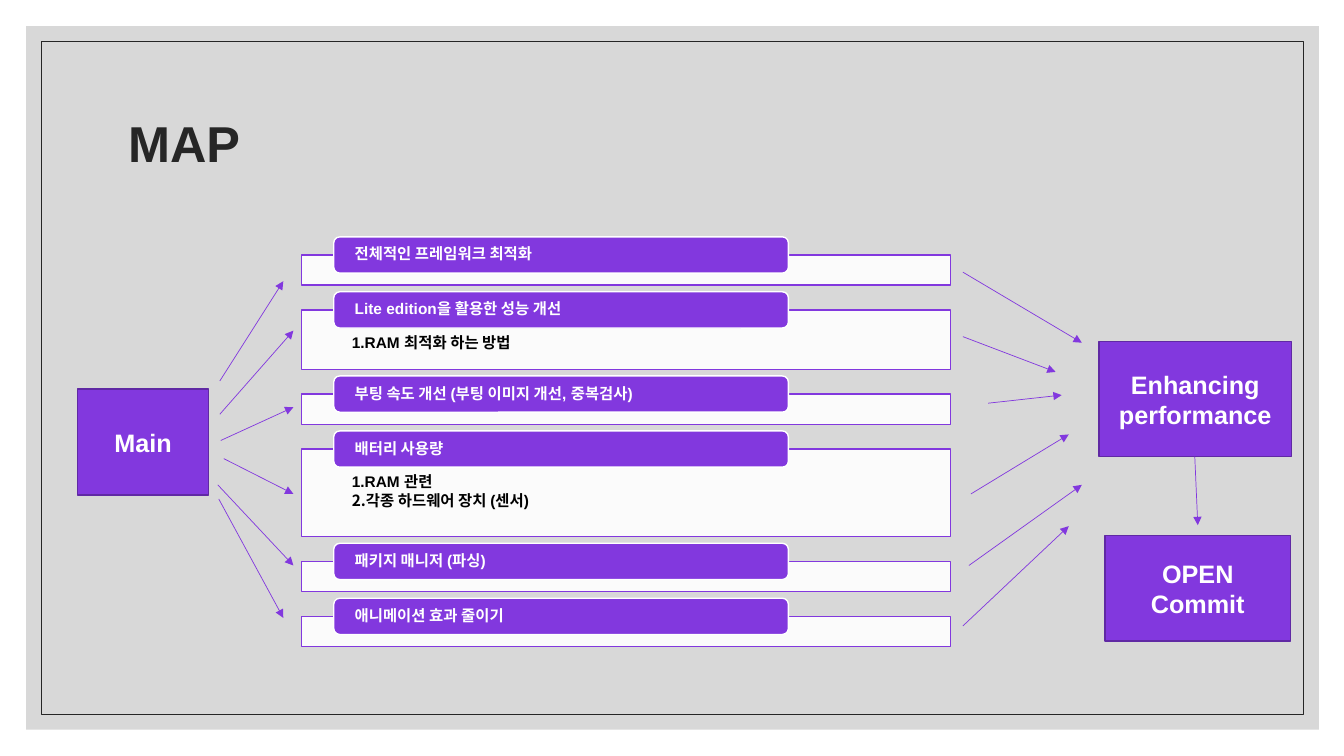
"""Build the MAP slide: six improvement topics leading from Main to the final commit."""
import pptx
import pptx.util
import pptx.dml.color
import pptx.enum.shapes
import pptx.enum.text
import pptx.oxml.ns
from lxml import etree

Inches = pptx.util.Inches
Pt = pptx.util.Pt
RGBColor = pptx.dml.color.RGBColor
SHAPE = pptx.enum.shapes.MSO_SHAPE
ALIGN = pptx.enum.text.PP_ALIGN
ANCHOR = pptx.enum.text.MSO_ANCHOR
qn = pptx.oxml.ns.qn

PURPLE = RGBColor(0x82, 0x38, 0xDE)
DARK_PURPLE = RGBColor(0x60, 0x29, 0xA4)
GREY = RGBColor(0xBF, 0xBF, 0xBF)
CHARCOAL = RGBColor(0x26, 0x26, 0x26)
WHITE = RGBColor(0xFF, 0xFF, 0xFF)
BLACK = RGBColor(0, 0, 0)


def write(target, text, size=11, color=WHITE, align=ALIGN.LEFT, anchor=ANCHOR.MIDDLE,
          insets=(0.1, 0.05, 0.1, 0.05), spacing=0.9, after=0, numbered=False):
    frame = target.text_frame
    frame.word_wrap = True
    frame.vertical_anchor = anchor
    frame.margin_left, frame.margin_top, frame.margin_right, frame.margin_bottom = map(Inches, insets)
    frame.text = text
    for paragraph in frame.paragraphs:
        paragraph.alignment = align
        paragraph.line_spacing = spacing
        paragraph.space_before = Pt(0)
        paragraph.space_after = Pt(after)
        if numbered:
            properties = paragraph._p.get_or_add_pPr()
            properties.set("marL", str(Inches(0.06)))
            properties.set("indent", str(-Inches(0.06)))
            etree.SubElement(properties, qn("a:buAutoNum"), type="arabicPeriod")
        for run in paragraph.runs:
            run.font.name = "Arial"
            run.font.size = Pt(size)
            run.font.bold = True
            run.font.color.rgb = color


def add_box(kind, place, fill=None, alpha=100, line=None, width=1):
    box = slide.shapes.add_shape(kind, *map(Inches, place))
    box.shadow.inherit = False
    if fill is None:
        box.fill.background()
    else:
        box.fill.solid()
        box.fill.fore_color.rgb = fill
        if alpha < 100:
            tint = box.fill._xPr.find(".//" + qn("a:srgbClr"))
            etree.SubElement(tint, qn("a:alpha"), val=str(alpha * 1000))
    if line is None:
        box.line.fill.background()
    else:
        box.line.color.rgb = line
        box.line.width = Pt(width)
    return box


deck = pptx.Presentation()
deck.slide_width = Inches(13.33)
deck.slide_height = Inches(7.5)
slide = deck.slides.add_slide(deck.slide_layouts[5])

add_box(SHAPE.RECTANGLE, (0.26, 0.26, 12.82, 6.98), GREY, alpha=60)
add_box(SHAPE.RECTANGLE, (0.41, 0.41, 12.52, 6.68), line=CHARCOAL, width=0.5)

heading = slide.shapes.title
heading.left, heading.top, heading.width, heading.height = map(Inches, (1.17, 0.7, 11, 1.5))
write(heading, "MAP", size=36, color=CHARCOAL)
slide.shapes._spTree.append(heading._element)

topics = [
    ("전체적인 프레임워크 최적화", 0.3, ""),
    ("Lite edition을 활용한 성능 개선", 0.59, "RAM 최적화 하는 방법"),
    ("부팅 속도 개선 (부팅 이미지 개선, 중복검사)", 0.3, ""),
    ("배터리 사용량", 0.87, "RAM 관련\n각종 하드웨어 장치 (센서)"),
    ("패키지 매니저 (파싱)", 0.3, ""),
    ("애니메이션 효과 줄이기", 0.3, ""),
]
card_top = 2.53
for topic, card_height, details in topics:
    card = add_box(SHAPE.RECTANGLE, (2.99, card_top, 6.44, card_height), WHITE, alpha=90, line=PURPLE)
    if details:
        write(card, details, color=BLACK, anchor=ANCHOR.TOP,
              insets=(0.5, 0.25, 0.5, 0.09), after=1.65, numbered=True)
    label = add_box(SHAPE.ROUNDED_RECTANGLE, (3.31, card_top - 0.18, 4.51, 0.36), PURPLE, line=WHITE)
    write(label, topic, insets=(0.19, 0, 0.19, 0))
    card_top += card_height + 0.245

stages = [
    ("Main", (0.77, 3.86, 1.3, 1.05)),
    ("Enhancing performance", (10.9, 3.39, 1.91, 1.14)),
    ("OPEN Commit", (10.96, 5.31, 1.84, 1.05)),
]
for stage, place in stages:
    write(add_box(SHAPE.RECTANGLE, place, PURPLE, line=DARK_PURPLE), stage,
          size=18, align=ALIGN.CENTER, spacing=1.0)

main_to_topics = [
    (2.18, 3.78, 2.81, 2.79), (2.18, 4.11, 2.91, 3.28), (2.19, 4.37, 2.91, 4.04),
    (2.22, 4.55, 2.91, 4.9), (2.16, 4.81, 2.91, 5.61), (2.17, 4.95, 2.81, 6.13),
]
topics_to_performance = [
    (9.55, 2.7, 10.73, 3.4), (9.55, 3.34, 10.47, 3.69), (9.8, 4, 10.53, 3.92),
    (9.63, 4.9, 10.6, 4.31), (9.61, 5.61, 10.73, 4.81), (9.55, 6.21, 10.6, 5.22),
]
performance_to_commit = [(11.85, 4.53, 11.88, 5.21)]
for ends in main_to_topics + topics_to_performance + performance_to_commit:
    arrow = slide.shapes.add_connector(pptx.enum.shapes.MSO_CONNECTOR.STRAIGHT, *map(Inches, ends))
    arrow.line.color.rgb = PURPLE
    arrow.line.width = Pt(0.5)
    etree.SubElement(arrow.line._get_or_add_ln(), qn("a:tailEnd"), type="triangle")
    etree.SubElement(arrow._element.spPr, qn("a:effectLst"))

deck.save("out.pptx")
